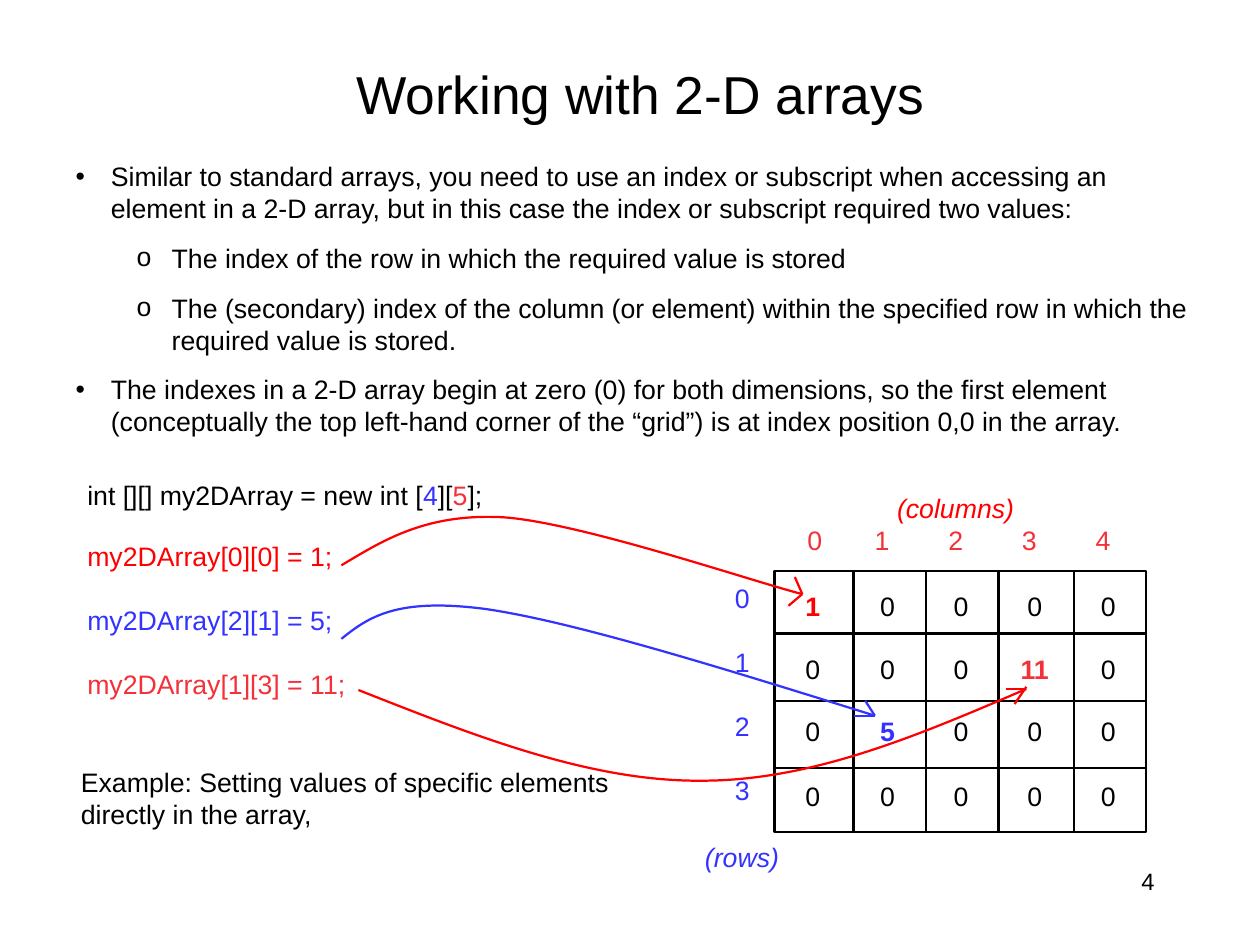
"""Build a slide that explains indexing in two-dimensional arrays."""
from dataclasses import dataclass
from itertools import accumulate

from lxml import etree
from pptx import Presentation
from pptx.dml.color import RGBColor
from pptx.enum.shapes import MSO_CONNECTOR, MSO_SHAPE
from pptx.enum.text import MSO_ANCHOR, PP_ALIGN
from pptx.oxml.ns import qn
from pptx.util import Inches, Pt

LEFT, CENTER, RIGHT = PP_ALIGN.LEFT, PP_ALIGN.CENTER, PP_ALIGN.RIGHT
TOP, MIDDLE = MSO_ANCHOR.TOP, MSO_ANCHOR.MIDDLE
STRAIGHT, RECTANGLE = MSO_CONNECTOR.STRAIGHT, MSO_SHAPE.RECTANGLE
COLORS = {"black": "000000", "red": "FF0000", "blue": "3333FF", "coral": "F43038"}
FONT = "Arial"
LINE_WIDTH = Pt(1.5)
Point = tuple[float, float]


@dataclass
class Run:
    text: str
    color: str = "black"
    bold: bool = False
    italic: bool = False


@dataclass
class Line:
    runs: list[Run]
    bullet: str = ""
    indent: float = 0
    level: int = 0


@dataclass
class TextBlock:
    left: float
    top: float
    width: float
    height: float
    lines: list[Line]
    size: int = 18
    align: PP_ALIGN = LEFT
    anchor: MSO_ANCHOR = TOP
    space_after: float = 0
    wrap: bool = True
    inset: Point = (0.1, 0.05)
    first_tab: float = 0


@dataclass
class CurvedArrow:
    color: str
    start: Point
    segments: list[tuple[Point, Point, Point]]
    barbs: list[tuple[Point, Point]]


def plain(text: str, color: str = "black", italic: bool = False) -> Line:
    return Line([Run(text, color, italic=italic)])


BULLETS = [
    ("•", "Similar to standard arrays, you need to use an index or subscript when accessing an "
     "element in a 2-D array, but in this case the index or subscript required two values:"),
    ("o", "The index of the row in which the required value is stored"),
    ("o", "The (secondary) index of the column (or element) within the specified row in which "
     "the required value is stored."),
    ("•", "The indexes in a 2-D array begin at zero (0) for both dimensions, so the first element "
     "(conceptually the top left-hand corner of the “grid”) is at index position 0,0 in the array."),
]
INDENTS = {"•": (0.33, 0), "o": (0.9, 1)}
HANGING = 0.33
WIDE_INSET = (0.11, 0.06)
LABEL_GAP = 21.6

GRID_LEFT, GRID_TOP = 7.26, 5.35
COLUMN_WIDTHS = [0.74, 0.68, 0.71 - 0.03, 0.71, 0.67]
ROW_HEIGHTS = [0.59, 0.63, 0.63, 0.6]
TAB_PITCH = 0.69
ROW_TOPS = [5.48, 6.07, 6.65, 7.26]
ROW_RUNS = [
    [Run("1", "red", bold=True), Run("\t0\t0\t0\t0")],
    [Run("0\t0\t0\t"), Run("11", "coral", bold=True), Run("\t0")],
    [Run("0\t"), Run("5", "blue", bold=True), Run("\t0\t0\t0")],
    [Run("0\t0\t0\t0\t0")],
]

TEXT_BLOCKS = [
    TextBlock(0.79, 0.43, 10.42, 0.89, [plain("Working with 2-D arrays")], 36, CENTER, MIDDLE,
              inset=WIDE_INSET),
    TextBlock(8.47, 8.07, 2.46, 0.59, [plain("4")], 16, RIGHT, inset=WIDE_INSET),
    TextBlock(0.6, 1.44, 10.7, 2.74,
              [Line([Run(text)], bullet, *INDENTS[bullet]) for bullet, text in BULLETS],
              space_after=12, inset=WIDE_INSET),
    TextBlock(7.47, 4.86, 3.2, 0.4, [plain("0\t1\t2\t3\t4", "coral")], first_tab=0.7),
    TextBlock(6.79, 5.41, 0.33, 2.22, [plain(str(row), "blue") for row in range(len(ROW_HEIGHTS))],
              space_after=LABEL_GAP),
    TextBlock(6.51, 7.83, 0.9, 0.4, [plain("(rows)", "blue", True)], wrap=False),
    TextBlock(8.31, 4.56, 1.31, 0.4, [plain("(columns)", "red", True)], wrap=False),
] + [
    TextBlock(7.45, top, 3.22, 0.4, [Line(runs)], first_tab=0.77)
    for top, runs in zip(ROW_TOPS, ROW_RUNS)
] + [
    TextBlock(0.72, 4.44, 3.94, 0.4, [Line([
        Run("int [][] my2DArray = new int ["), Run("4", "blue"), Run("]["), Run("5", "coral"),
        Run("];")])], wrap=False),
    TextBlock(0.66, 7.13, 5.17, 0.71,
              [plain("Example: Setting values of specific elements directly in the array,")]),
    TextBlock(0.72, 5.01, 2.64, 1.62,
              [plain("my2DArray[0][0] = 1;", "red"), plain("my2DArray[2][1] = 5;", "blue"),
               plain("my2DArray[1][3] = 11;", "coral")], space_after=LABEL_GAP, wrap=False),
]
ARROWS = [
    CurvedArrow("red", (3.2, 5.3),
                [((3.6, 5.06), (4, 4.81), (4.72, 4.85)), ((5.44, 4.9), (7.05, 5.45), (7.52, 5.57))],
                [((7.52, 5.57), (7.45, 5.41)), ((7.52, 5.57), (7.39, 5.68))]),
    CurvedArrow("blue", (3.2, 5.99),
                [((3.45, 5.79), (3.71, 5.6), (4.55, 5.71)), ((5.38, 5.83), (6.79, 6.27), (8.2, 6.71))],
                [((8.2, 6.71), (8.11, 6.57)), ((8.2, 6.71), (8, 6.71))]),
    CurvedArrow("red", (3.36, 6.47),
                [((4.45, 6.9), (5.53, 7.33), (6.58, 7.32)), ((7.62, 7.32), (8.62, 6.89), (9.62, 6.46))],
                [((9.6, 6.46), (9.43, 6.46)), ((9.62, 6.44), (9.51, 6.6))]),
]


def rgb(color: str) -> RGBColor:
    return RGBColor.from_string(COLORS[color])


def add_run(paragraph, run: Run, size: int) -> None:
    text_run = paragraph.add_run()
    text_run.text = run.text
    font = text_run.font
    font.name, font.size, font.bold, font.italic = FONT, Pt(size), run.bold, run.italic
    font.color.rgb = rgb(run.color)


def add_text(slide, block: TextBlock) -> None:
    shape = slide.shapes.add_textbox(*map(Inches, (block.left, block.top, block.width, block.height)))
    frame = shape.text_frame
    frame.word_wrap, frame.vertical_anchor = block.wrap, block.anchor
    frame.margin_left = frame.margin_right = Inches(block.inset[0])
    frame.margin_top = frame.margin_bottom = Inches(block.inset[1])
    for index, line in enumerate(block.lines):
        paragraph = frame.add_paragraph() if index else frame.paragraphs[0]
        paragraph.alignment, paragraph.level = block.align, line.level
        paragraph.space_after = Pt(block.space_after)
        properties = paragraph._p.get_or_add_pPr()
        if line.bullet:
            properties.set("marL", str(Inches(line.indent)))
            properties.set("indent", str(-Inches(HANGING)))
            etree.SubElement(properties, qn("a:buFont"), typeface=FONT)
            etree.SubElement(properties, qn("a:buChar"), char=line.bullet)
        if block.first_tab:
            tabs = etree.SubElement(properties, qn("a:tabLst"))
            for column in range(len(COLUMN_WIDTHS) - 1):
                position = Inches(block.first_tab + column * TAB_PITCH)
                etree.SubElement(tabs, qn("a:tab"), pos=str(position), algn="ctr")
        for run in line.runs:
            add_run(paragraph, run, block.size)


def set_stroke(shape, color: str) -> None:
    shape.line.color.rgb = rgb(color)
    shape.line.width = LINE_WIDTH


def add_line(slide, start: Point, end: Point, color: str = "black") -> None:
    connector = slide.shapes.add_connector(STRAIGHT, *map(Inches, start + end))
    set_stroke(connector, color)
    etree.SubElement(connector._element.spPr, qn("a:effectLst"))


def add_grid(slide) -> None:
    width, height = sum(COLUMN_WIDTHS), sum(ROW_HEIGHTS)
    frame = slide.shapes.add_shape(RECTANGLE, *map(Inches, (GRID_LEFT, GRID_TOP, width, height)))
    frame.fill.background()
    frame.shadow.inherit = False
    set_stroke(frame, "black")
    for offset in accumulate(COLUMN_WIDTHS[:-1]):
        add_line(slide, (GRID_LEFT + offset, GRID_TOP), (GRID_LEFT + offset, GRID_TOP + height))
    for offset in accumulate(ROW_HEIGHTS[:-1]):
        add_line(slide, (GRID_LEFT, GRID_TOP + offset), (GRID_LEFT + width, GRID_TOP + offset))


def add_arrow(slide, arrow: CurvedArrow) -> None:
    builder = slide.shapes.build_freeform(*map(Inches, arrow.start))
    builder.add_line_segments([tuple(map(Inches, segment[-1])) for segment in arrow.segments], close=False)
    curve = builder.convert_to_shape()
    straight_parts = list(curve._element.iter(qn("a:lnTo")))
    for straight, segment in zip(straight_parts, arrow.segments):
        bezier = etree.Element(qn("a:cubicBezTo"))
        for x, y in segment:
            etree.SubElement(bezier, qn("a:pt"), x=str(Inches(x) - curve.left), y=str(Inches(y) - curve.top))
        straight.getparent().replace(straight, bezier)
    curve.fill.background()
    curve.shadow.inherit = False
    set_stroke(curve, arrow.color)
    for start, end in arrow.barbs:
        add_line(slide, start, end, arrow.color)


def main() -> None:
    presentation = Presentation()
    presentation.slide_width, presentation.slide_height = Inches(11.81), Inches(8.86)
    slide = presentation.slides.add_slide(presentation.slide_layouts[6])
    add_grid(slide)
    for block in TEXT_BLOCKS:
        add_text(slide, block)
    for arrow in ARROWS:
        add_arrow(slide, arrow)
    presentation.save("out.pptx")


if __name__ == "__main__":
    main()
